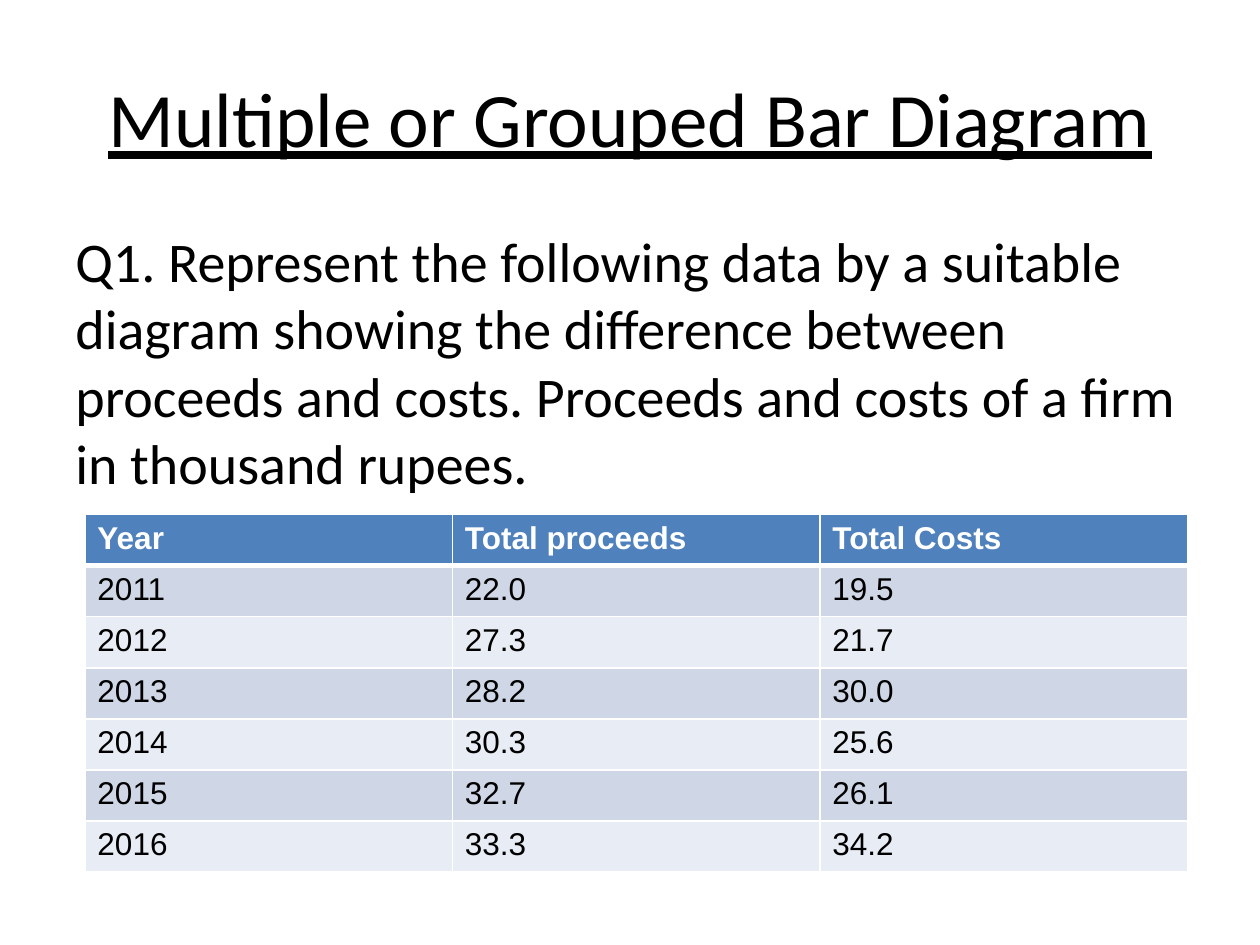
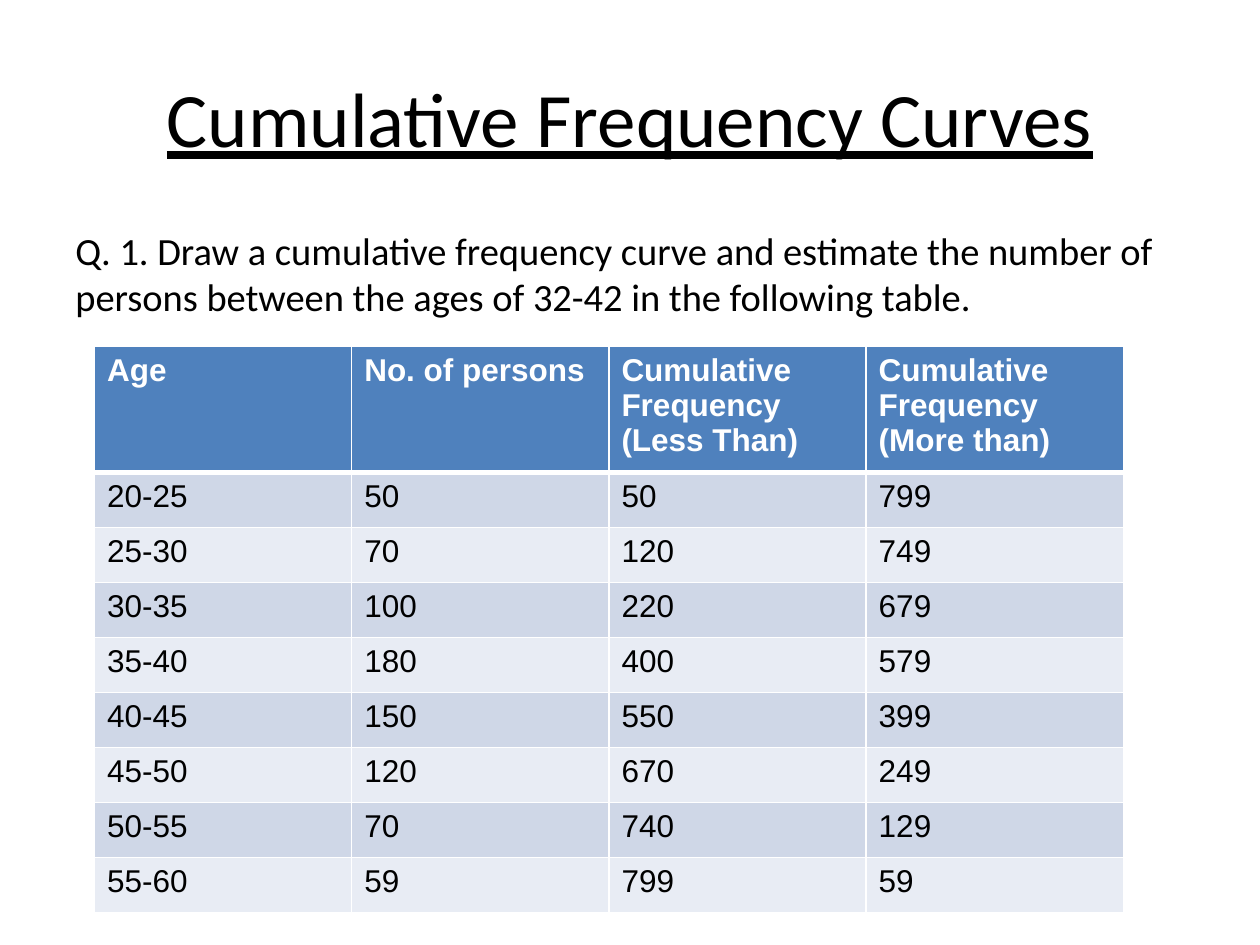
from dataclasses import dataclass

from lxml import etree
from pptx import Presentation
from pptx.dml.color import RGBColor
from pptx.enum.text import MSO_ANCHOR, PP_ALIGN
from pptx.oxml.ns import qn
from pptx.util import Pt

CENTER = PP_ALIGN.CENTER
LEFT = PP_ALIGN.LEFT
MIDDLE = MSO_ANCHOR.MIDDLE
TOP = MSO_ANCHOR.TOP

# Shared look
TITLE_ONLY = 5
TEXT_FONT, TABLE_FONT = "Calibri", "Arial"
BLACK, WHITE = "000000", "FFFFFF"
HEADER_FILL = "4F81BD"
BAND_FILLS = ("CFD7E7", "E8ECF4")
TITLE_BOX = (36, 21.6, 648, 90)
QUESTION_BOX = (36, 126, 648, 356.4)
THIN_LINE, HEADER_LINE = 1, 3


@dataclass
class DataTable:
    left: float
    top: float
    column_width: float
    header_height: float
    row_height: float
    header: list[str]
    rows: list[tuple[str, ...]]


@dataclass
class Exercise:
    title: str
    question: str
    question_size: float
    table: DataTable


EXERCISES = [
    Exercise(
        "Multiple or Grouped Bar Diagram",
        "Q1. Represent the following data by a suitable diagram showing the "
        "difference between proceeds and costs. Proceeds and costs of a firm "
        "in thousand rupees.",
        32,
        DataTable(
            48.5, 294, 210, 29.2, 29.2,
            ["Year", "Total proceeds", "Total Costs"],
            [
                ("2011", "22.0", "19.5"),
                ("2012", "27.3", "21.7"),
                ("2013", "28.2", "30.0"),
                ("2014", "30.3", "25.6"),
                ("2015", "32.7", "26.1"),
                ("2016", "33.3", "34.2"),
            ],
        ),
    ),
    Exercise(
        "Cumulative Frequency Curves",
        "Q. 1. Draw a cumulative frequency curve and estimate the number of "
        "persons between the ages of 32-42 in the following table.",
        22,
        DataTable(
            54, 198, 147, 67.2, 31.43,
            ["Age", "No. of persons", "Cumulative Frequency (Less Than)",
             "Cumulative Frequency (More than)"],
            [
                ("20-25", "50", "50", "799"),
                ("25-30", "70", "120", "749"),
                ("30-35", "100", "220", "679"),
                ("35-40", "180", "400", "579"),
                ("40-45", "150", "550", "399"),
                ("45-50", "120", "670", "249"),
                ("50-55", "70", "740", "129"),
                ("55-60", "59", "799", "59"),
            ],
        ),
    ),
]


def color(hex_string: str) -> RGBColor:
    return RGBColor.from_string(hex_string)


def format_text(text_frame, font_name: str, size: float, font_color: str,
                bold: bool = False, underline: bool = False,
                alignment=LEFT) -> None:
    for paragraph in text_frame.paragraphs:
        paragraph.alignment = alignment
        for run in paragraph.runs:
            run.font.name = font_name
            run.font.size = Pt(size)
            run.font.bold = bold
            run.font.underline = underline
            run.font.color.rgb = color(font_color)


def add_title(slide, text: str) -> None:
    title = slide.shapes.title
    title.left, title.top, title.width, title.height = map(Pt, TITLE_BOX)
    title.text_frame.text = text
    title.text_frame.vertical_anchor = MIDDLE
    format_text(title.text_frame, TEXT_FONT, 44, BLACK, underline=True,
                alignment=CENTER)


def add_question(slide, text: str, size: float) -> None:
    text_frame = slide.shapes.add_textbox(*map(Pt, QUESTION_BOX)).text_frame
    text_frame.word_wrap = True
    text_frame.vertical_anchor = TOP
    text_frame.text = text
    format_text(text_frame, TEXT_FONT, size, BLACK)


def set_borders(cell, top_width: float, bottom_width: float) -> None:
    properties = cell._tc.get_or_add_tcPr()
    widths = {"a:lnL": THIN_LINE, "a:lnR": THIN_LINE,
              "a:lnT": top_width, "a:lnB": bottom_width}
    for tag, width in widths.items():
        line = etree.SubElement(properties, qn(tag), w=str(Pt(width)))
        fill = etree.SubElement(line, qn("a:solidFill"))
        etree.SubElement(fill, qn("a:srgbClr"), val=WHITE)


def add_data_table(slide, data: DataTable) -> None:
    all_rows = [data.header, *data.rows]
    column_count = len(data.header)
    height = data.header_height + data.row_height * len(data.rows)
    table = slide.shapes.add_table(
        len(all_rows), column_count, Pt(data.left), Pt(data.top),
        Pt(data.column_width * column_count), Pt(height)).table
    for column in table.columns:
        column.width = Pt(data.column_width)

    for row_index, values in enumerate(all_rows):
        is_header = row_index == 0
        row_height = data.header_height if is_header else data.row_height
        table.rows[row_index].height = Pt(row_height)
        fill_color = HEADER_FILL if is_header else BAND_FILLS[(row_index - 1) % 2]
        for column_index, value in enumerate(values):
            cell = table.cell(row_index, column_index)
            # Borders come before the fill in the cell properties
            set_borders(cell, HEADER_LINE if row_index == 1 else THIN_LINE,
                        HEADER_LINE if is_header else THIN_LINE)
            cell.fill.solid()
            cell.fill.fore_color.rgb = color(fill_color)
            cell.text_frame.text = value
            format_text(cell.text_frame, TABLE_FONT, 18,
                        WHITE if is_header else BLACK, bold=is_header)


def main() -> None:
    presentation = Presentation()
    presentation.slide_width, presentation.slide_height = Pt(720), Pt(540)
    for exercise in EXERCISES:
        slide = presentation.slides.add_slide(
            presentation.slide_layouts[TITLE_ONLY])
        add_title(slide, exercise.title)
        add_question(slide, exercise.question, exercise.question_size)
        add_data_table(slide, exercise.table)
    presentation.save("out.pptx")


if __name__ == "__main__":
    main()
